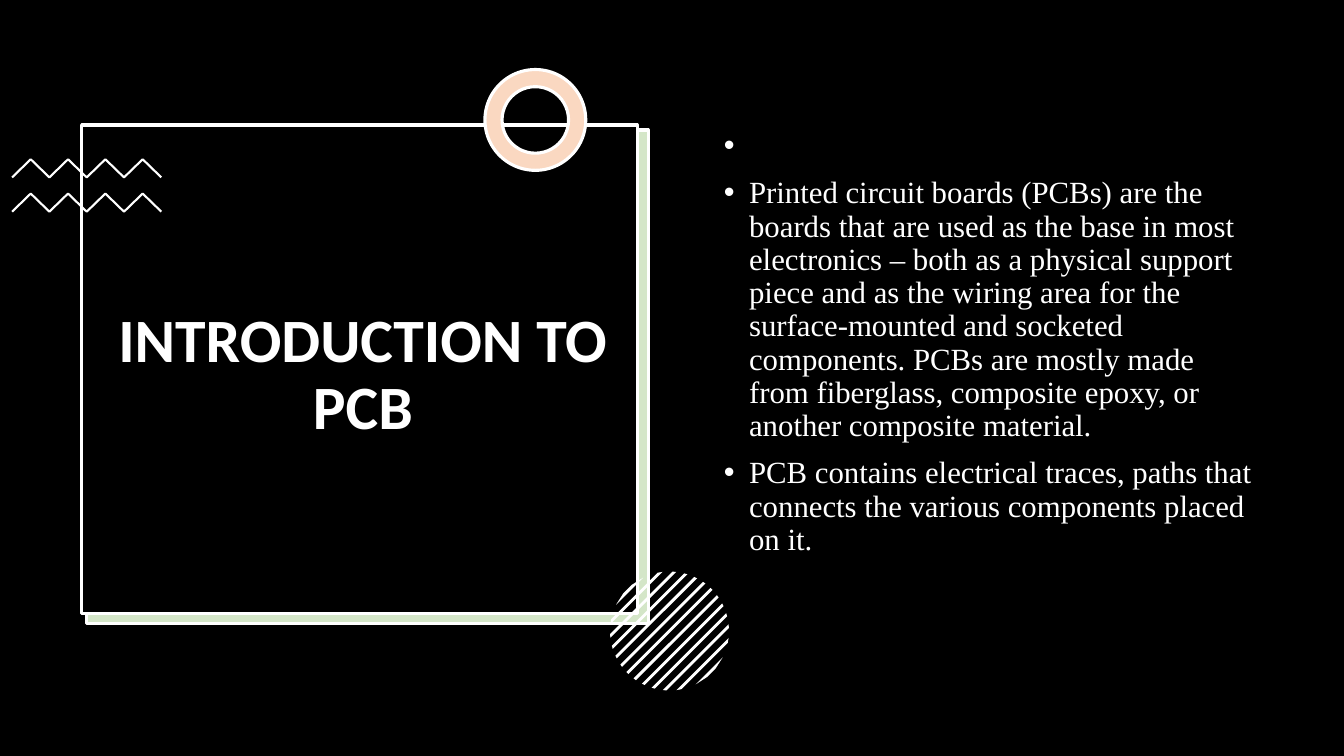
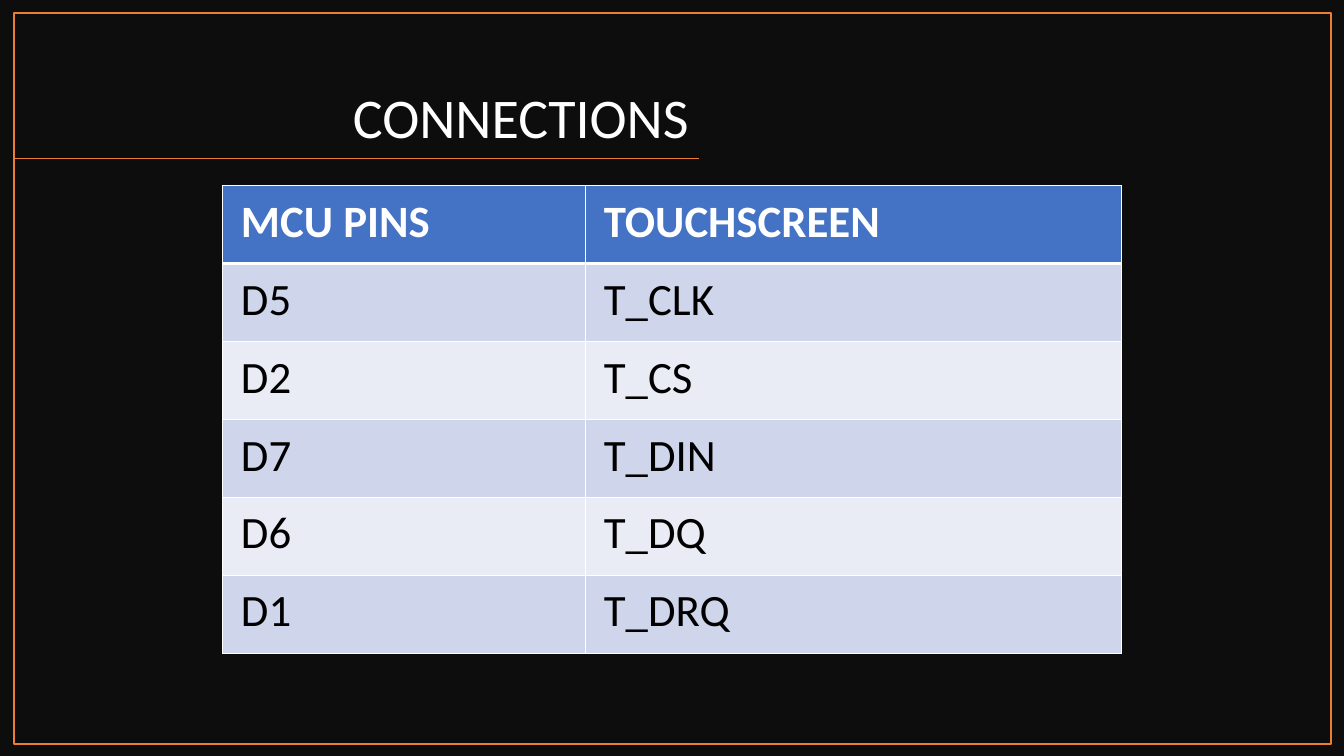
from dataclasses import dataclass
from math import sqrt

from pptx import Presentation
from pptx.dml.color import RGBColor
from pptx.enum.shapes import MSO_CONNECTOR, MSO_SHAPE
from pptx.enum.text import MSO_ANCHOR, MSO_AUTO_SIZE, PP_ALIGN
from pptx.oxml.ns import qn
from pptx.util import Inches, Pt
from lxml.etree import SubElement

INTRO_TITLE = "INTRODUCTION TO PCB"
INTRO_POINTS = [
    " ",
    "Printed circuit boards (PCBs) are the boards that are used as the base in most "
    "electronics – both as a physical support piece and as the wiring area for the "
    "surface-mounted and socketed components. PCBs are mostly made from fiberglass, "
    "composite epoxy, or another composite material.",
    "PCB contains electrical traces, paths that connects the various components placed on it.",
]
PINS_TITLE = "CONNECTIONS"
PINS = [
    ("MCU PINS", "TOUCHSCREEN"),
    ("D5", "T_CLK"),
    ("D2", "T_CS"),
    ("D7", "T_DIN"),
    ("D6", "T_DQ"),
    ("D1", "T_DRQ"),
]


@dataclass(frozen=True)
class Theme:
    black: str = "000000"
    charcoal: str = "0D0D0D"
    white: str = "FFFFFF"
    orange: str = "ED7D31"
    peach: str = "FAD8C1"
    pale_green: str = "D4E6C8"
    header_blue: str = "4472C4"
    bands: tuple = ("CFD5EA", "E9EBF5")
    heading_font: str = "Calibri"
    body_font: str = "Times New Roman"
    intro_size: int = 44
    title_size: int = 40
    table_size: int = 32
    body_size: int = 22


THEME = Theme()


def color(value):
    return RGBColor.from_string(value)


def place(shape, left, top, width, height):
    shape.left, shape.top = Inches(left), Inches(top)
    shape.width, shape.height = Inches(width), Inches(height)


def write(frame, paragraphs, *, size, font=THEME.heading_font, ink=THEME.white, bold=False,
          align=PP_ALIGN.LEFT, anchor=MSO_ANCHOR.TOP, spacing=0.9, before=0, bullet=None):
    frame.word_wrap = True
    frame.auto_size = MSO_AUTO_SIZE.NONE
    frame.vertical_anchor = anchor
    for index, text in enumerate(paragraphs):
        paragraph = frame.add_paragraph() if index else frame.paragraphs[0]
        paragraph.alignment = align
        paragraph.line_spacing = spacing
        paragraph.space_before = Pt(before)
        run = paragraph.add_run()
        run.text = text
        run.font.name, run.font.size, run.font.bold = font, Pt(size), bold
        run.font.color.rgb = color(ink)
        if bullet:
            properties = paragraph._p.get_or_add_pPr()
            properties.set("marL", str(Inches(0.25)))
            properties.set("indent", str(-Inches(0.25)))
            SubElement(properties, qn("a:buFont"), typeface="Arial")
            SubElement(properties, qn("a:buChar"), char=bullet)


def paint(shape, fill=None, line=None, weight=1.0):
    shape.shadow.inherit = False
    if fill:
        shape.fill.solid()
        shape.fill.fore_color.rgb = color(fill)
    else:
        shape.fill.background()
    if line:
        shape.line.color.rgb = color(line)
        shape.line.width = Pt(weight)
    else:
        shape.line.fill.background()
    return shape


def add_preset(slide, kind, box, **look):
    return paint(slide.shapes.add_shape(kind, *map(Inches, box)), **look)


def add_outline(slide, points, close, **look):
    corners = [(Inches(x), Inches(y)) for x, y in points]
    builder = slide.shapes.build_freeform(*corners[0])
    builder.add_line_segments(corners[1:], close=close)
    return paint(builder.convert_to_shape(), **look)


def add_slide(deck, layout, background):
    slide = deck.slides.add_slide(deck.slide_layouts.get_by_name(layout))
    slide.background.fill.solid()
    slide.background.fill.fore_color.rgb = color(background)
    return slide


def set_title(slide, text, box, **look):
    """Fill the title and bring it in front of the decoration."""
    title = slide.shapes.title
    place(title, *box)
    write(title.text_frame, [text], **look)
    slide.shapes.element.append(title.element)


def add_zigzag(slide, top, left=0.12, step=0.185, rise=0.18, segments=8):
    points = [(left + i * step, top + (0 if i % 2 else rise)) for i in range(segments + 1)]
    add_outline(slide, points, close=False, line=THEME.white, weight=1.5)


def add_striped_disc(slide, center_x, center_y, radius, pitch=0.135, half_band=0.02):
    """Draw diagonal bands, each edge being a chord of the disc."""
    def chord(shift):
        reach = sqrt(radius ** 2 - shift ** 2 / 2) / sqrt(2)
        x, y = center_x + shift / 2, center_y + shift / 2
        return [(x - reach, y + reach), (x + reach, y - reach)]

    for index in range(-6, 7):
        middle = index * pitch
        band = chord(middle - half_band) + chord(middle + half_band)[::-1]
        add_outline(slide, band, close=True, fill=THEME.white)


def build_intro(deck):
    slide = add_slide(deck, "Title and Content", THEME.black)
    for box, fill in (((0.86, 1.29, 5.57, 4.9), THEME.pale_green),
                      ((0.81, 1.24, 5.51, 4.85), THEME.black)):
        add_preset(slide, MSO_SHAPE.RECTANGLE, box, fill=fill, line=THEME.white, weight=2.25)
    for top in (1.58, 1.92):
        add_zigzag(slide, top)
    ring = add_preset(slide, MSO_SHAPE.DONUT, (4.81, 0.69, 1, 1),
                      fill=THEME.peach, line=THEME.white, weight=2.25)
    ring.adjustments[0] = 0.17
    add_striped_disc(slide, 6.64, 6.26, 0.59)
    set_title(slide, INTRO_TITLE, (0.92, 1.52, 5.36, 4.42), size=THEME.intro_size, bold=True,
              align=PP_ALIGN.CENTER, anchor=MSO_ANCHOR.MIDDLE)
    points = slide.placeholders[1]
    place(points, 7.08, 1.24, 5.44, 4.76)
    write(points.text_frame, INTRO_POINTS, size=THEME.body_size, font=THEME.body_font,
          before=10, bullet="•")


def set_borders(cell, weights):
    properties = cell._tc.get_or_add_tcPr()
    for side, weight in zip("LRTB", weights):
        border = SubElement(properties, qn(f"a:ln{side}"), w=str(Pt(weight)))
        fill = SubElement(border, qn("a:solidFill"))
        SubElement(fill, qn("a:srgbClr"), val=THEME.white)


def add_pin_table(slide, left, top, widths, row_height):
    box = map(Inches, (left, top, sum(widths), row_height * len(PINS)))
    table = slide.shapes.add_table(len(PINS), len(widths), *box).table
    for column, width in zip(table.columns, widths):
        column.width = Inches(width)
    for r, row in enumerate(PINS):
        header = r == 0
        for c, text in enumerate(row):
            cell = table.cell(r, c)
            cell.margin_left = cell.margin_right = Inches(0.18)
            cell.margin_top = cell.margin_bottom = Inches(0.09)
            set_borders(cell, (1, 1, 3 if r == 1 else 1, 3 if header else 1))
            cell.fill.solid()
            cell.fill.fore_color.rgb = color(THEME.header_blue if header
                                             else THEME.bands[(r - 1) % 2])
            write(cell.text_frame, [text], size=THEME.table_size, bold=header, spacing=1.0,
                  ink=THEME.white if header else THEME.black)


def build_connections(deck):
    slide = add_slide(deck, "Title Only", THEME.charcoal)
    rule = slide.shapes.add_connector(MSO_CONNECTOR.STRAIGHT, Inches(0.14), Inches(1.57),
                                      Inches(6.93), Inches(1.57))
    rule.line.color.rgb = color(THEME.orange)
    rule.line.width = Pt(1)
    SubElement(rule.element.spPr, qn("a:effectLst"))
    add_preset(slide, MSO_SHAPE.RECTANGLE, (0.14, 0.13, 13.06, 7.25), line=THEME.orange)
    set_title(slide, PINS_TITLE, (0.92, 0.42, 6.01, 1.12), size=THEME.title_size,
              align=PP_ALIGN.RIGHT, anchor=MSO_ANCHOR.BOTTOM)
    add_pin_table(slide, 2.21, 1.84, (3.6, 5.31), 4.64 / len(PINS))


def main():
    deck = Presentation()
    deck.slide_width, deck.slide_height = Inches(13.33), Inches(7.5)
    build_intro(deck)
    build_connections(deck)
    deck.save("out.pptx")


if __name__ == "__main__":
    main()
